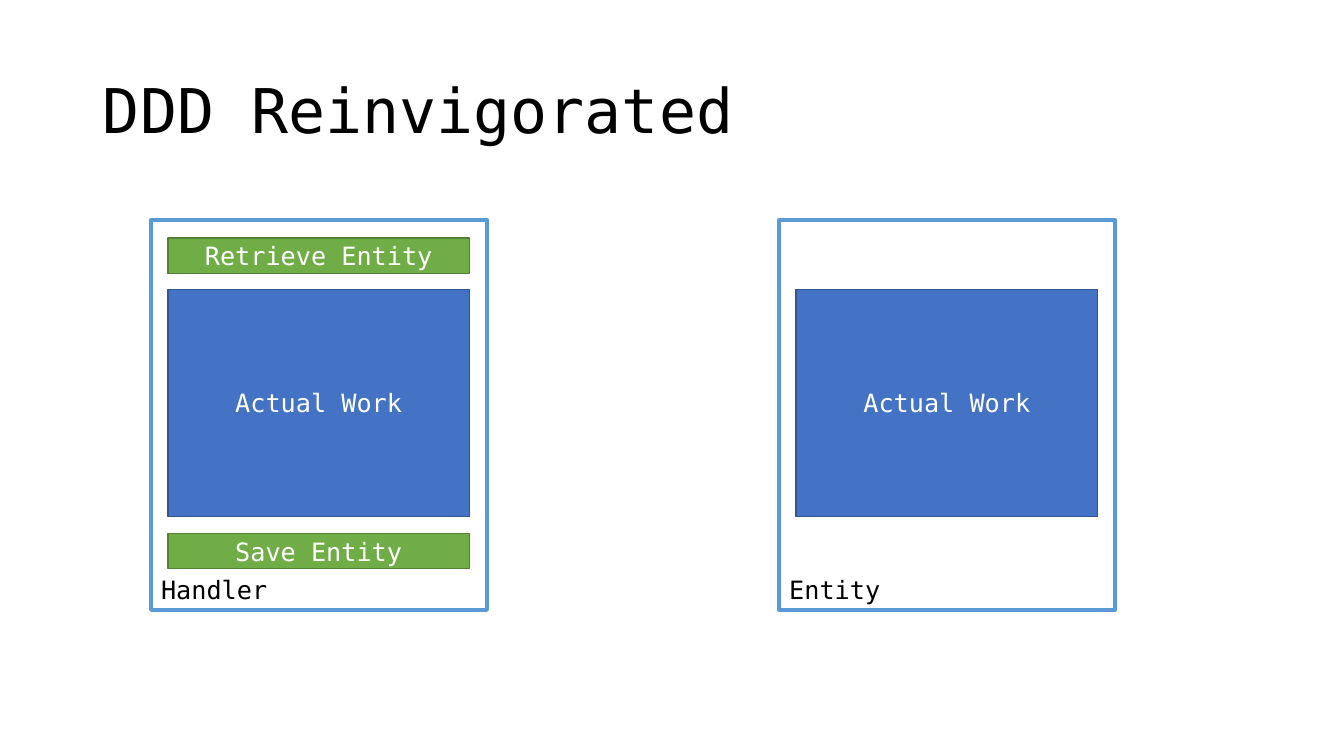
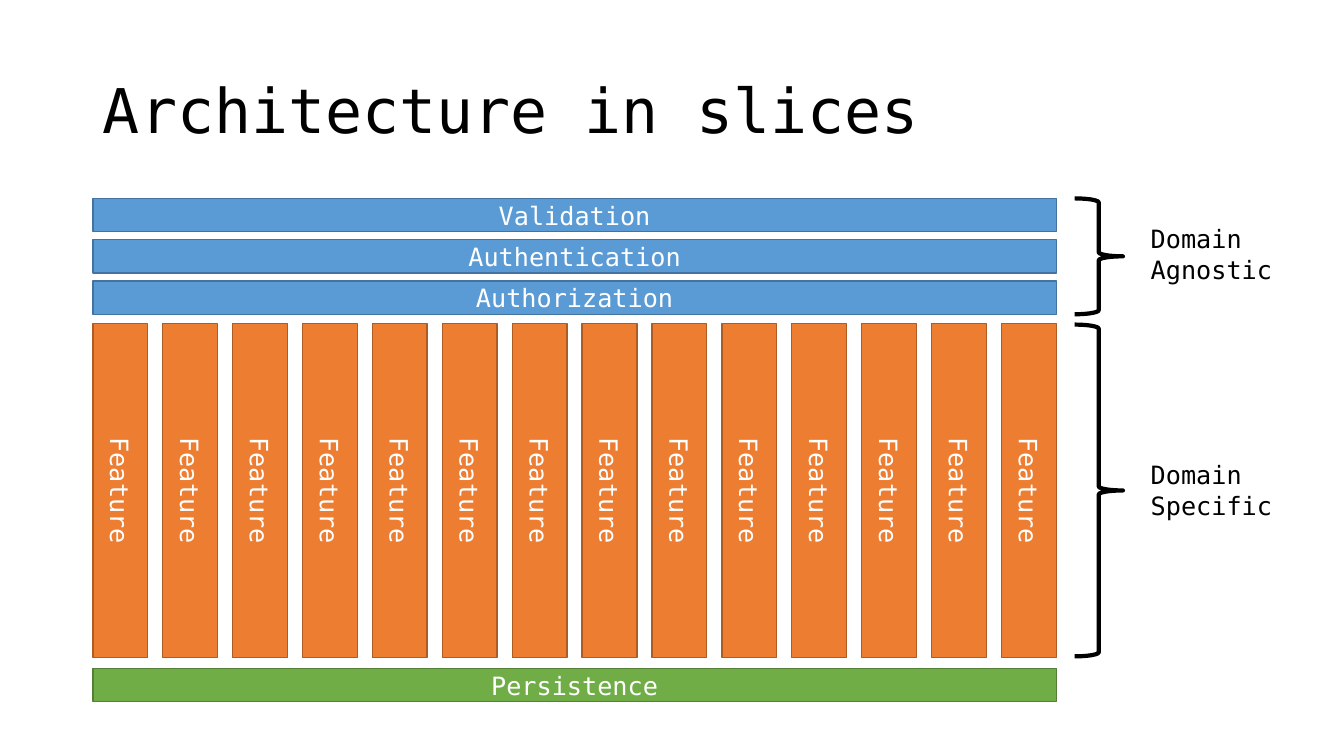
from pptx import Presentation
from pptx.dml.color import RGBColor
from pptx.enum.shapes import MSO_SHAPE
from pptx.enum.text import MSO_ANCHOR, MSO_AUTO_SIZE, PP_ALIGN
from pptx.util import Cm, Pt

FONT = "DejaVu Sans Mono"
BLACK, WHITE = "000000", "FFFFFF"
SKY = ("5B9BD5", "43739E")
GREEN = ("70AD47", "538035")
BLUE = ("4472C4", "325491")
ORANGE = ("ED7D31", "AF5C24")
LEFT, WIDE = 2.34, 24.28


def color(target, code):
    """Set a fill, line or font colour from a hex string."""
    if hasattr(target, "solid"):
        target.solid()
        target = target.fore_color
    elif hasattr(target, "color"):
        target = target.color
    target.rgb = RGBColor.from_string(code)


def write(frame, text, size=18, ink=BLACK, align=PP_ALIGN.LEFT,
          anchor=MSO_ANCHOR.TOP, fit=MSO_AUTO_SIZE.NONE, lead=None):
    """Put one formatted paragraph into a text frame."""
    frame.word_wrap = True
    frame.auto_size = fit
    frame.vertical_anchor = anchor
    para = frame.paragraphs[0]
    para.alignment = align
    para.line_spacing = lead
    run = para.add_run()
    run.text = text
    run.font.name = FONT
    run.font.size = Pt(size)
    color(run.font, ink)


def start(deck, text):
    """Add a title-only slide and set its title."""
    slide = deck.slides.add_slide(deck.slide_layouts[5])
    title = slide.shapes.title
    title.left, title.top = Cm(LEFT), Cm(1.02)
    title.width, title.height = Cm(29.21), Cm(3.68)
    write(title.text_frame, text, size=44, anchor=MSO_ANCHOR.MIDDLE, lead=0.9)
    return slide


def draw(slide, kind, x, y, w, h, line, weight):
    """Add an outlined preset shape without a shadow."""
    shape = slide.shapes.add_shape(kind, Cm(x), Cm(y), Cm(w), Cm(h))
    shape.shadow.inherit = False
    shape.line.width = Pt(weight)
    color(shape.line, line)
    return shape


def block(slide, text, x, y, w, h, tone, turn=False):
    """Add a filled box with centred white text."""
    fill, line = tone
    shape = draw(slide, MSO_SHAPE.RECTANGLE, x, y, w, h, line, 1)
    color(shape.fill, fill)
    write(shape.text_frame, text, ink=WHITE, align=PP_ALIGN.CENTER,
          anchor=MSO_ANCHOR.MIDDLE)
    if turn:
        shape.element.txBody.bodyPr.set("vert", "vert")


def panel(slide, name, x, parts):
    """Add a framed panel, named at its foot, holding blocks."""
    frame = draw(slide, MSO_SHAPE.RECTANGLE, x, 5.54, 8.46, 9.83, SKY[0], 3)
    color(frame.fill, WHITE)
    write(frame.text_frame, name, anchor=MSO_ANCHOR.BOTTOM)
    for text, y, h, tone in parts:
        block(slide, text, x + 0.42, y, 7.6, h, tone)


def brace(slide, text, y, h, top):
    """Add a right brace and the label beside it."""
    shape = draw(slide, MSO_SHAPE.RIGHT_BRACE, 27.08, y, 1.22, h, BLACK, 3)
    shape.fill.background()
    label = slide.shapes.add_textbox(Cm(28.75), Cm(top), Cm(4.14), Cm(1.8))
    write(label.text_frame, text, fit=MSO_AUTO_SIZE.SHAPE_TO_FIT_TEXT)


def domain(deck):
    """Build the slide on handler and entity."""
    slide = start(deck, "DDD Reinvigorated")
    work = ("Actual Work", 7.29, 5.72, BLUE)
    panel(slide, "Handler", 3.81, [("Retrieve Entity", 6, 0.89, GREEN),
                                   ("Save Entity", 13.44, 0.89, GREEN), work])
    panel(slide, "Entity", 19.64, [work])


def slices(deck):
    """Build the slide on layers and feature slices."""
    slide = start(deck, "Architecture in slices")
    layers = ["Validation", "Authentication", "Authorization"]
    for i, text in enumerate(layers):
        block(slide, text, LEFT, 5 + 1.04 * i, WIDE, 0.84, SKY)
    count, width = 14, 1.38
    step = (WIDE - width) / (count - 1)
    for i in range(count):
        block(slide, "Feature", LEFT + step * i, 8.16, width, 8.41, ORANGE,
              turn=True)
    block(slide, "Persistence", LEFT, 16.84, WIDE, 0.84, GREEN)
    brace(slide, "Domain Agnostic", 5, 2.92, 5.51)
    brace(slide, "Domain Specific", 8.18, 8.36, 11.46)


def main():
    """Build and save the deck."""
    deck = Presentation()
    deck.slide_width, deck.slide_height = Cm(33.87), Cm(19.05)
    domain(deck)
    slices(deck)
    deck.save("out.pptx")


if __name__ == "__main__":
    main()
